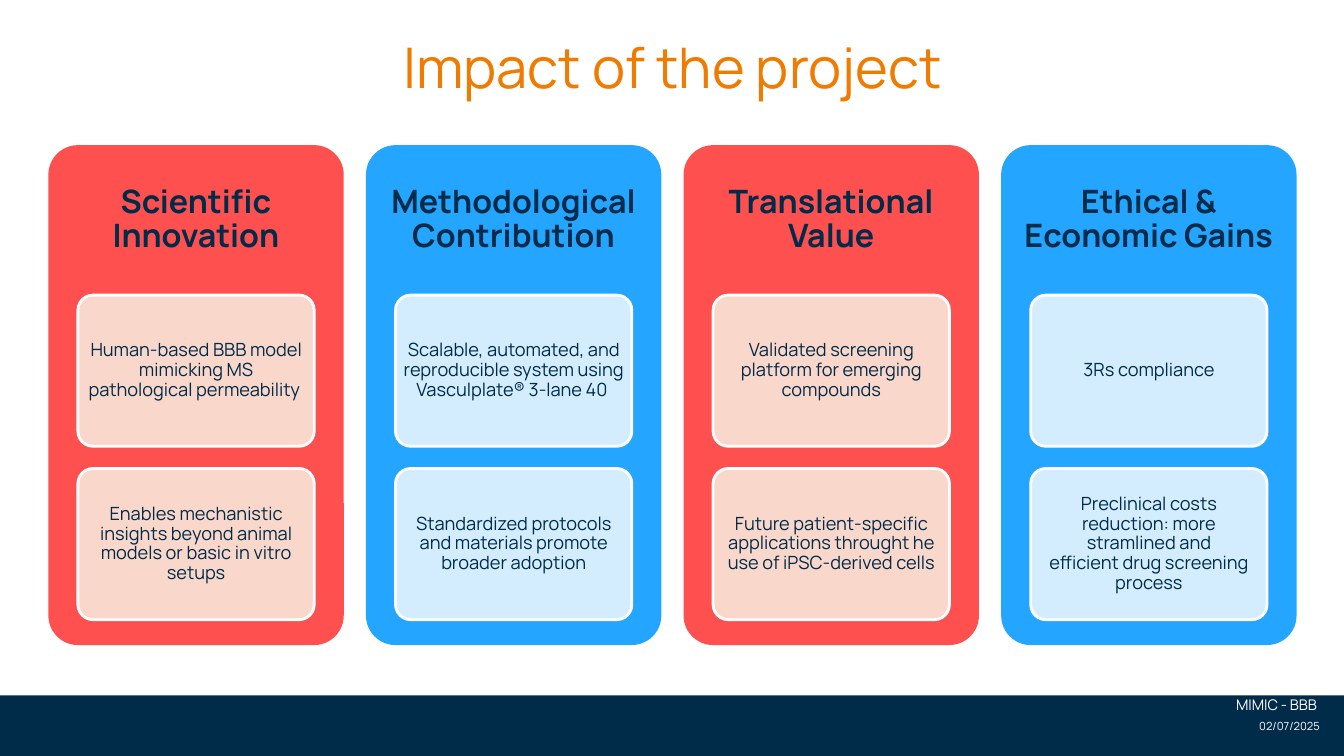
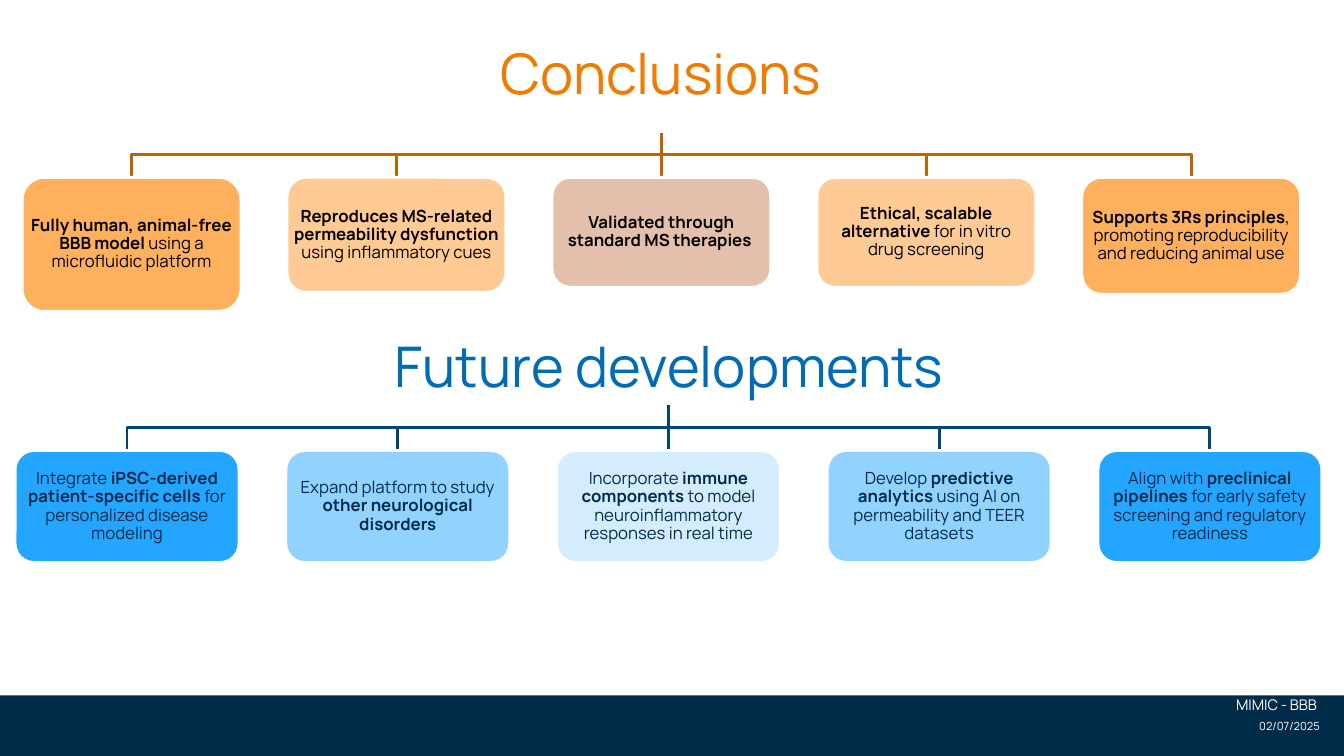
"""Build two slides on the impact, conclusions and future of the MIMIC - BBB project."""
from lxml import etree
from pptx import Presentation
from pptx.dml.color import RGBColor
from pptx.enum.shapes import MSO_CONNECTOR as LINE, MSO_SHAPE as SHAPE
from pptx.enum.text import MSO_ANCHOR as ANCHOR, MSO_AUTO_SIZE as FIT, PP_ALIGN as ALIGN
from pptx.oxml.ns import qn
from pptx.util import Inches, Pt

FONT = "Manrope"
WIDTH, HEIGHT = 13.33, 7.5
HARD_SPACE = chr(160)
COLORS = {
    "navy": "002B49", "orange": "EF7B00", "blue": "006BB6", "white": "FFFFFF", "black": "000000",
    "red": "FF5050", "rose": "F9D7CB", "azure": "24A5FF", "sky": "92D2FF", "ice": "D3EDFF",
    "amber": "FFB05C", "peach": "FFCA93", "clay": "E3C0AB", "rust": "BF6300", "deep": "004575",
}
RGB = {name: RGBColor.from_string(value) for name, value in COLORS.items()}


def write(shape, runs, size, color, margins, anchor=ANCHOR.MIDDLE, align=ALIGN.CENTER):
    """Fill a shape with one paragraph of (text, bold) runs."""
    frame = shape.text_frame
    frame.auto_size = FIT.NONE
    frame.word_wrap = True
    frame.vertical_anchor = anchor
    frame.margin_left = frame.margin_right = Inches(margins[0])
    frame.margin_top = frame.margin_bottom = Inches(margins[1])
    paragraph = frame.paragraphs[0]
    paragraph.alignment = align
    paragraph.line_spacing = 0.9 if align == ALIGN.CENTER else 1.0
    for text, bold in runs:
        run = paragraph.add_run()
        run.text = text
        run.font.name = FONT
        run.font.size = Pt(size)
        run.font.bold = bold
        run.font.color.rgb = RGB[color]


def block(slide, kind, place, fill, outline=None, rounding=None):
    """Add a filled preset shape, outlined when a colour is given."""
    shape = slide.shapes.add_shape(kind, *map(Inches, place))
    shape.shadow.inherit = False
    shape.fill.solid()
    shape.fill.fore_color.rgb = RGB[fill]
    if outline:
        shape.line.color.rgb = RGB[outline]
        shape.line.width = Pt(2)
    else:
        shape.line.fill.background()
    if rounding:
        shape.adjustments[0] = rounding
    return shape


prs = Presentation()
prs.slide_width, prs.slide_height = Inches(WIDTH), Inches(HEIGHT)
title_only = prs.slide_layouts[5]
impact, outlook = [prs.slides.add_slide(title_only) for _ in range(2)]

band = block(impact, SHAPE.RECTANGLE, (0, HEIGHT * 0.92, WIDTH, HEIGHT * 0.08), "navy")
prs.slide_master.shapes.element.insert(2, band.element)

titles = [
    (impact, "Impact of the project", (0.47, 0.35, 12.4, 1), ANCHOR.TOP, (0.1, 0.05)),
    (outlook, "Conclusions", (3.17, 0.27, 6.77, 0.98), ANCHOR.MIDDLE, (0.03, 0.03)),
]
footers = [
    ("MIMIC - BBB", 10.5, (3.95, 6.85, 9.21, 0.35)),
    ("02/07/2025", 8, (11.29, 7.09, 1.9, 0.43)),
]
for slide, heading, place, anchor, margins in titles:
    title = slide.shapes.title
    title.left, title.top, title.width, title.height = map(Inches, place)
    write(title, [(heading, False)], 40, "orange", margins, anchor)
    for note, size, spot in footers:
        footer = slide.shapes.add_textbox(*map(Inches, spot))
        write(footer, [(note, False)], size, "white", (0.1, 0.05), ANCHOR.TOP, ALIGN.RIGHT)

pillars = [
    ("Scientific Innovation", [
        "Human-based BBB model mimicking MS pathological permeability ",
        "Enables mechanistic insights beyond animal models or basic in vitro setups"]),
    ("Methodological Contribution", [
        "Scalable, automated, and reproducible system using Vasculplate® 3-lane 40 ",
        "Standardized protocols and materials promote broader adoption"]),
    ("Translational Value", [
        "Validated screening platform for emerging compounds",
        "Future patient-specific applications throught he use of iPSC-derived cells"]),
    ("Ethical & Economic Gains", [
        "3Rs compliance",
        "Preclinical costs reduction: more stramlined and "
        f"efficient{HARD_SPACE}drug screening process"]),
]
pillar_left, pillar_top, pillar_pitch, pillar_width, pillar_height = 0.48, 1.44, 3.15, 2.93, 4.96
header_height = pillar_height * 0.3
point_width, point_height, point_pitch = pillar_width * 0.8, 1.5, 1.72
pillar_colors = [("red", "rose"), ("azure", "ice")]
for column, (heading, points) in enumerate(pillars):
    left = pillar_left + column * pillar_pitch
    panel_color, point_color = pillar_colors[column % 2]
    block(impact, SHAPE.ROUNDED_RECTANGLE, (left, pillar_top, pillar_width, pillar_height),
          panel_color, rounding=0.1)
    header = impact.shapes.add_textbox(
        *map(Inches, (left, pillar_top, pillar_width, header_height)))
    write(header, [(heading, True)], 23, "navy", (0.1, 0.1))
    for row, point in enumerate(points):
        place = (left + pillar_width * 0.1, pillar_top + header_height + row * point_pitch,
                 point_width, point_height)
        card = block(impact, SHAPE.ROUNDED_RECTANGLE, place, point_color, "white", 0.1)
        write(card, [(point, False)], 13, "navy", (0.03, 0.03))

future = outlook.shapes.add_textbox(*map(Inches, (3.15, 3.36, 6.97, 0.61)))
write(future, [("Future developments", False)], 40, "blue", (0.03, 0.03))

conclusions = [
    ("amber", 1.33, [("Fully human, animal-free BBB model", True),
                     (f"{HARD_SPACE}using a microfluidic platform", False)]),
    ("peach", 1.14, [("Reproduces MS-related permeability dysfunction ", True),
                     ("using inflammatory cues", False)]),
    ("clay", 1.09, [("Validated through standard MS therapies ", True)]),
    ("peach", 1.09, [("Ethical, scalable alternative", True),
                     (" for in vitro drug screening", False)]),
    ("amber", 1.16, [("Supports 3Rs principles", True),
                     (", promoting reproducibility and reducing animal use", False)]),
]
developments = [
    ("azure", 1.11, [("Integrate ", False), ("iPSC-derived patient-specific cells", True),
                     (" for personalized disease modeling", False)]),
    ("sky", 1.11, [("Expand platform to study ", False), ("other neurological disorders", True)]),
    ("ice", 1.11, [("Incorporate ", False), ("immune components", True),
                   (" to model neuroinflammatory responses in real time", False)]),
    ("sky", 1.11, [("Develop ", False), ("predictive analytics ", True),
                   ("using AI on permeability and TEER datasets", False)]),
    ("azure", 1.11, [("Align with ", False), ("preclinical pipelines", True),
                     (" for early safety screening and regulatory readiness", False)]),
]
trees = [
    (conclusions, 0.22, 10.73, 2.17, 1.32, 1.76, "rust", "black"),
    (developments, 0.15, 10.89, 2.22, 4.02, 4.47, "deep", "navy"),
]
for leaves, first, last, leaf_width, root, leaf_top, branch_color, text_color in trees:
    pitch = (last - first) / (len(leaves) - 1)
    lefts = [first + column * pitch for column in range(len(leaves))]
    trunk = (first + last + leaf_width) / 2
    rail = leaf_top - 0.23
    for column, left in enumerate(lefts):
        center = left + leaf_width / 2
        if column == len(leaves) // 2:
            branch = outlook.shapes.add_connector(
                LINE.STRAIGHT, *map(Inches, (trunk, root, trunk, leaf_top)))
        else:
            corners = [(trunk, root), (trunk, rail), (center, rail), (center, leaf_top)]
            start, *bends = [(Inches(x), Inches(y)) for x, y in corners]
            builder = outlook.shapes.build_freeform(*start)
            builder.add_line_segments(bends, close=False)
            branch = builder.convert_to_shape()
            branch.fill.background()
        branch.line.color.rgb = RGB[branch_color]
        branch.line.width = Pt(2)
        etree.SubElement(branch.element.spPr, qn("a:effectLst"))
    for left, (fill, leaf_height, runs) in zip(lefts, leaves):
        leaf = block(outlook, SHAPE.ROUNDED_RECTANGLE,
                     (left, leaf_top, leaf_width, leaf_height), fill, "white")
        write(leaf, runs, 12, text_color, (0.01, 0.01))

prs.save("out.pptx")
